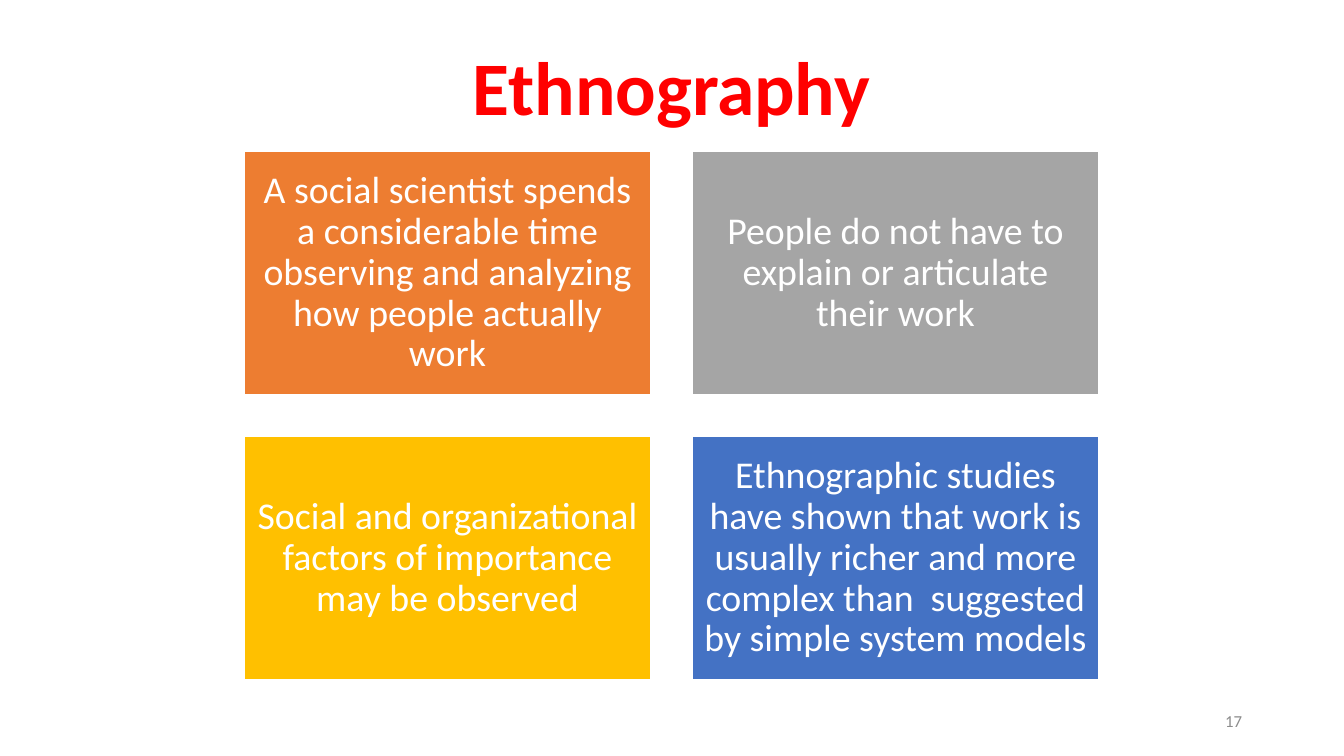
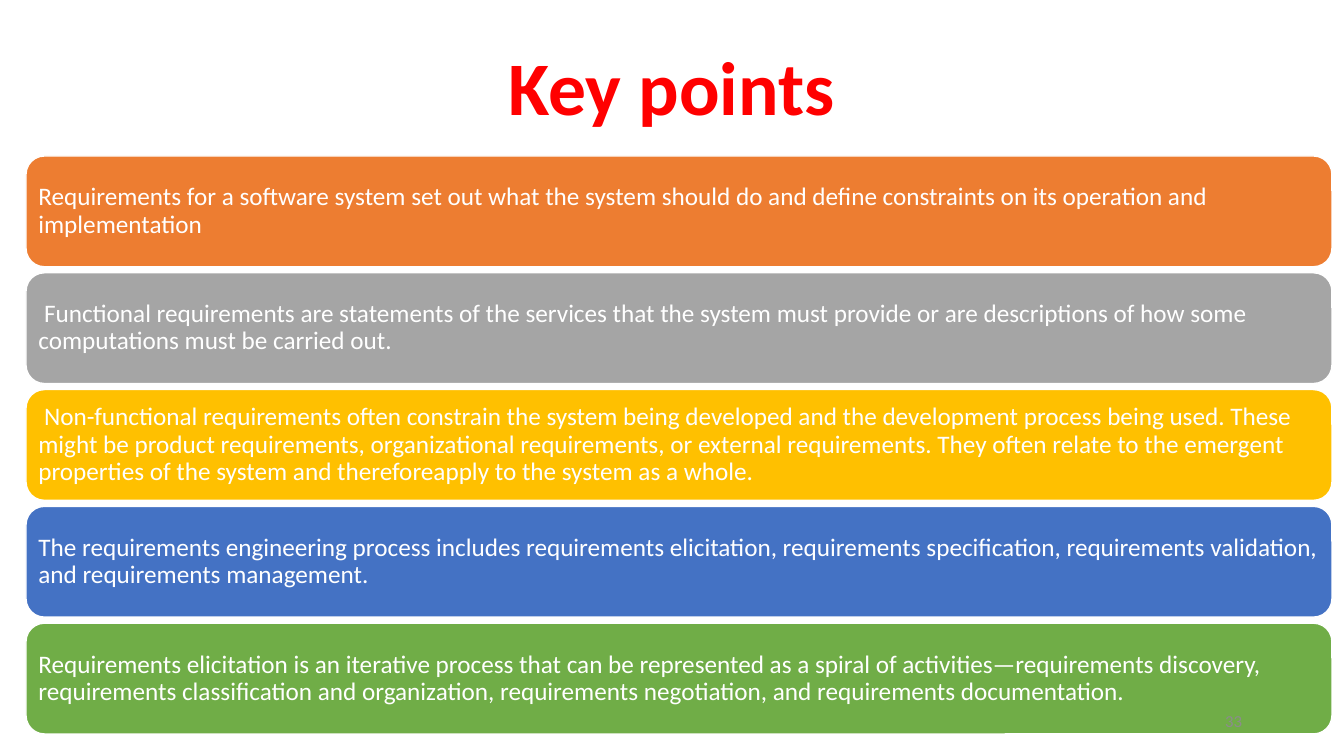
from pptx import Presentation
from pptx.dml.color import RGBColor
from pptx.enum.shapes import MSO_SHAPE
from pptx.enum.text import MSO_ANCHOR, PP_ALIGN
from pptx.util import Pt

RECTANGLE = MSO_SHAPE.RECTANGLE
ROUNDED = MSO_SHAPE.ROUNDED_RECTANGLE
MIDDLE = MSO_ANCHOR.MIDDLE
LEFT, CENTER, RIGHT = PP_ALIGN.LEFT, PP_ALIGN.CENTER, PP_ALIGN.RIGHT

EMU_PER_PX = 914400 / 100.8
PAGE_SIZE = (1344, 756)
FONT = "Calibri"
COLORS = {
    "title": "FF0000",
    "white": "FFFFFF",
    "number": "8C8C8C",
    "orange": "ED7D31",
    "gray": "A5A5A5",
    "gold": "FFC000",
    "blue": "4472C4",
    "green": "70AD47",
}
CARD_FILLS = ["orange", "gray", "gold", "blue", "green"]

TITLE_BOX = (92, 40, 1159, 101)
NUMBER_BOX = (950, 701, 302, 40)
TILES_BOX = (244, 151, 855, 529)
BARS_BOX = (26, 156, 1306, 578)

ETHNOGRAPHY = [
    "A social scientist spends a considerable time observing and analyzing how people actually work",
    "People do not have to explain or articulate their work",
    "Social and organizational factors of importance may be observed",
    "Ethnographic studies have shown that work is usually richer and more complex than  suggested "
    "by simple system models",
]
KEY_POINTS = [
    "Requirements for a software system set out what the system should do and define constraints "
    "on its operation and implementation",
    " Functional requirements are statements of the services that the system must provide or are "
    "descriptions of how some computations must be carried out.",
    " Non-functional requirements often constrain the system being developed and the development "
    "process being used. These might be product requirements, organizational requirements, or "
    "external requirements. They often relate to the emergent properties of the system and "
    "thereforeapply to the system as a whole.",
    "The requirements engineering process includes requirements elicitation, requirements "
    "specification, requirements validation, and requirements management.",
    "Requirements elicitation is an iterative process that can be represented as a spiral of "
    "activities—requirements discovery, requirements classification and organization, "
    "requirements negotiation, and requirements documentation.",
]


def px(*lengths):
    """Turn pixel lengths into EMU."""
    return [round(length * EMU_PER_PX) for length in lengths]


def color(name):
    """Look up a named colour."""
    return RGBColor.from_string(COLORS[name])


def write(shape, text, size, ink, align, spacing=0.9, bold=False):
    """Put one styled paragraph in a shape, centred vertically."""
    frame = shape.text_frame
    frame.word_wrap = True
    frame.vertical_anchor = MIDDLE
    frame.text = text
    para = frame.paragraphs[0]
    para.alignment = align
    para.line_spacing = spacing
    font = para.runs[0].font
    font.name, font.size, font.bold = FONT, Pt(size), bold
    font.color.rgb = color(ink)


def add_title(page, box, text):
    """Add the slide title."""
    write(page.shapes.add_textbox(*px(*box)), text, 54, "title", CENTER, bold=True)


def add_number(page, box, number):
    """Add the slide number."""
    write(page.shapes.add_textbox(*px(*box)), str(number), 12, "number", RIGHT, spacing=1.0)


def add_cards(page, box, texts, columns, gap, kind, size, align, inset):
    """Fill a box with a grid of equal coloured cards."""
    left, top, width, height = box
    rows = len(texts) // columns
    card_width = (width - gap * (columns - 1)) / columns
    card_height = (height - gap * (rows - 1)) / rows
    for index, (text, fill) in enumerate(zip(texts, CARD_FILLS)):
        row, column = divmod(index, columns)
        card = page.shapes.add_shape(kind, *px(
            left + column * (card_width + gap),
            top + row * (card_height + gap),
            card_width, card_height))
        card.shadow.inherit = False
        card.fill.solid()
        card.fill.fore_color.rgb = color(fill)
        card.line.color.rgb = color("white")
        card.line.width = Pt(1)
        frame = card.text_frame
        (frame.margin_left, frame.margin_top,
         frame.margin_right, frame.margin_bottom) = px(*[inset] * 4)
        write(card, text, size, "white", align)


def add_tiles(page, box, texts):
    """Add square-cornered tiles in two columns."""
    add_cards(page, box, texts, 2, 41, RECTANGLE, 27, CENTER, 11)


def add_bars(page, box, texts):
    """Add a stack of rounded full-width bars."""
    add_cards(page, box, texts, 1, 6, ROUNDED, 18, LEFT, 7)


def add_page(deck, title, number, add_body, box, texts):
    """Add a slide with a title, a body and a slide number."""
    page = deck.slides.add_slide(deck.slide_layouts[6])
    add_title(page, TITLE_BOX, title)
    add_body(page, box, texts)
    add_number(page, NUMBER_BOX, number)


def main():
    """Build and save the deck."""
    deck = Presentation()
    deck.slide_width, deck.slide_height = px(*PAGE_SIZE)
    add_page(deck, "Ethnography", 17, add_tiles, TILES_BOX, ETHNOGRAPHY)
    add_page(deck, "Key points", 33, add_bars, BARS_BOX, KEY_POINTS)
    deck.save("out.pptx")


if __name__ == "__main__":
    main()
